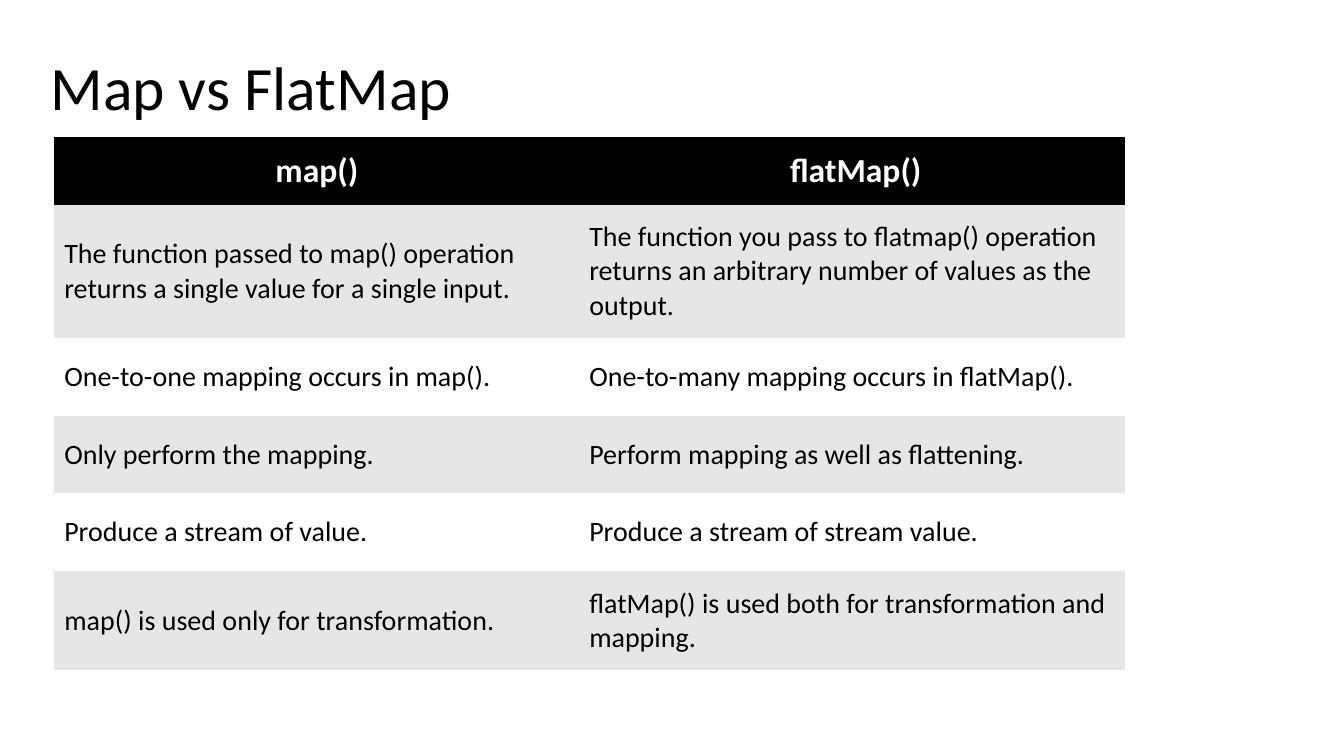
from dataclasses import dataclass

from pptx import Presentation
from pptx.dml.color import RGBColor
from pptx.enum.text import MSO_ANCHOR, PP_ALIGN
from pptx.oxml.ns import qn
from pptx.util import Cm, Pt

LEFT, CENTER = PP_ALIGN.LEFT, PP_ALIGN.CENTER
MIDDLE = MSO_ANCHOR.MIDDLE
TITLE_ONLY = 5
NO_GRID = "{2D5ABB26-0587-4C30-8999-92F81FD0307C}"


@dataclass
class Theme:
    font: str = "Calibri"
    dark: RGBColor = RGBColor(0x00, 0x00, 0x00)
    light: RGBColor = RGBColor(0xFF, 0xFF, 0xFF)
    band: RGBColor = RGBColor(0xE7, 0xE6, 0xE6)
    title: int = 44
    head: int = 24
    body: int = 20


class Deck:
    def __init__(self, theme):
        self.theme = theme
        self.prs = Presentation()
        self.prs.slide_width, self.prs.slide_height = Cm(33.87), Cm(19.05)
        layout = self.prs.slide_layouts[TITLE_ONLY]
        self.slide = self.prs.slides.add_slide(layout)

    def label(self, frame, text, size, color, align=LEFT, bold=False):
        frame.text = text
        para = frame.paragraphs[0]
        para.alignment = align
        for run in para.runs:
            font = run.font
            font.name, font.size, font.bold = self.theme.font, Pt(size), bold
            font.color.rgb = color
        return para

    def title(self, text, left, top, width, height):
        box = self.slide.shapes.title
        box.left, box.top = Cm(left), Cm(top)
        box.width, box.height = Cm(width), Cm(height)
        frame = box.text_frame
        frame.vertical_anchor = MIDDLE
        para = self.label(frame, text, self.theme.title, self.theme.dark)
        para.line_spacing = 0.9

    def table(self, rows, left, top, widths, heights):
        grid = self.slide.shapes.add_table(
            len(rows), len(widths), Cm(left), Cm(top),
            Cm(sum(widths)), Cm(sum(heights))).table
        grid._tbl.tblPr.find(qn("a:tableStyleId")).text = NO_GRID
        grid.horz_banding = False
        for col, width in zip(grid.columns, widths):
            col.width = Cm(width)
        for r, (texts, height) in enumerate(zip(rows, heights)):
            grid.rows[r].height = Cm(height)
            for c, text in enumerate(texts):
                self.cell(grid.cell(r, c), text, r)

    def cell(self, cell, text, row):
        theme, head = self.theme, row == 0
        cell.vertical_anchor = MIDDLE
        cell.margin_left = cell.margin_right = Cm(0.25)
        cell.margin_top = cell.margin_bottom = Cm(0.25 if head else 0.38)
        # Dark header, then every other row banded
        if head or row % 2:
            cell.fill.solid()
            cell.fill.fore_color.rgb = theme.dark if head else theme.band
        else:
            cell.fill.background()
        if head:
            self.label(cell.text_frame, text, theme.head, theme.light,
                       CENTER, True)
        else:
            self.label(cell.text_frame, text, theme.body, theme.dark)


deck = Deck(Theme())

# Title
deck.title("Map vs FlatMap", 1.02, 1.02, 31.83, 2.54)

# Comparison table
ROWS = [
    ("map()", "\u00a0flatMap()"),
    ("The function passed to map() operation returns a single value "
     "for a single input.",
     "The function you pass to flatmap() operation returns an arbitrary "
     "number of values as the output."),
    ("One-to-one mapping occurs in map().",
     "One-to-many mapping occurs in flatMap()."),
    ("Only perform the mapping.", "Perform mapping as well as flattening."),
    ("Produce a stream of value.", "Produce a stream of stream value."),
    ("map() is used only for transformation.",
     "flatMap() is used both for transformation and mapping."),
]
deck.table(ROWS, 1.37, 3.46, [13.23, 13.74],
           [1.7, 3.33] + [1.96] * 3 + [2.48])

deck.prs.save("out.pptx")
